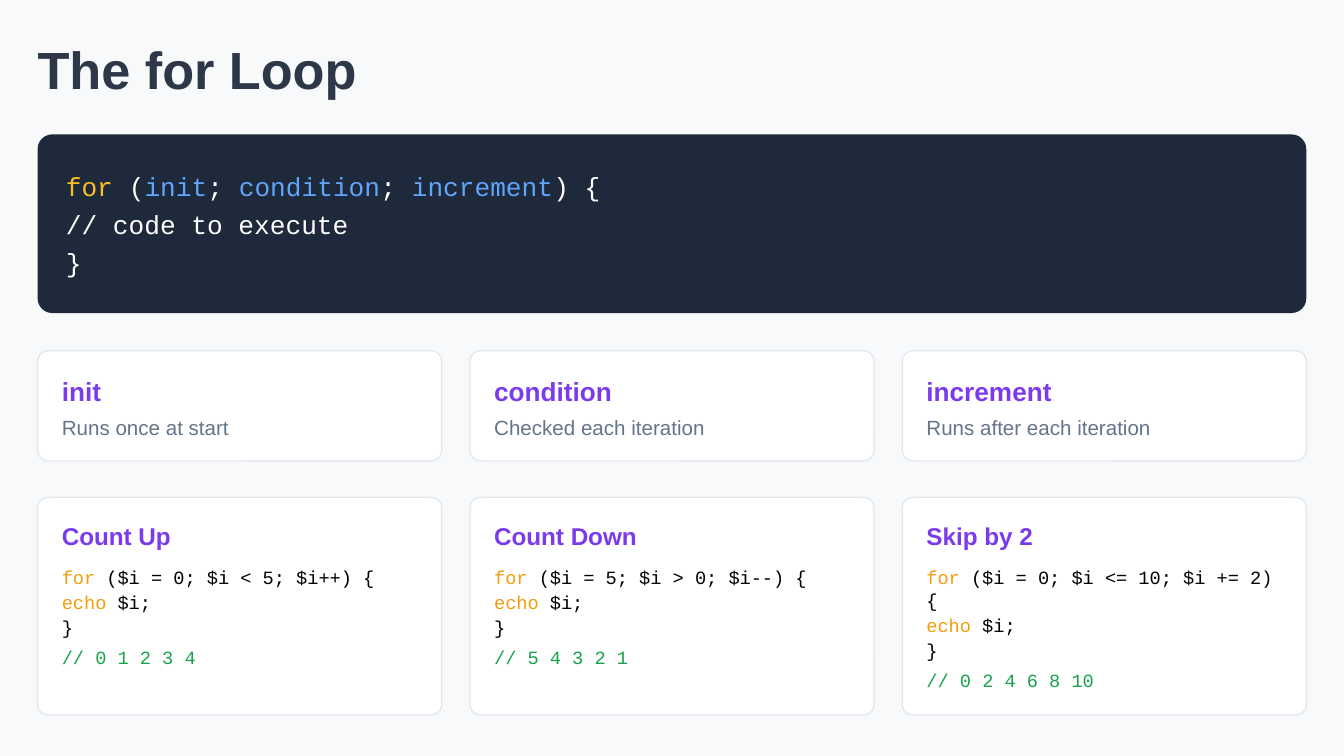
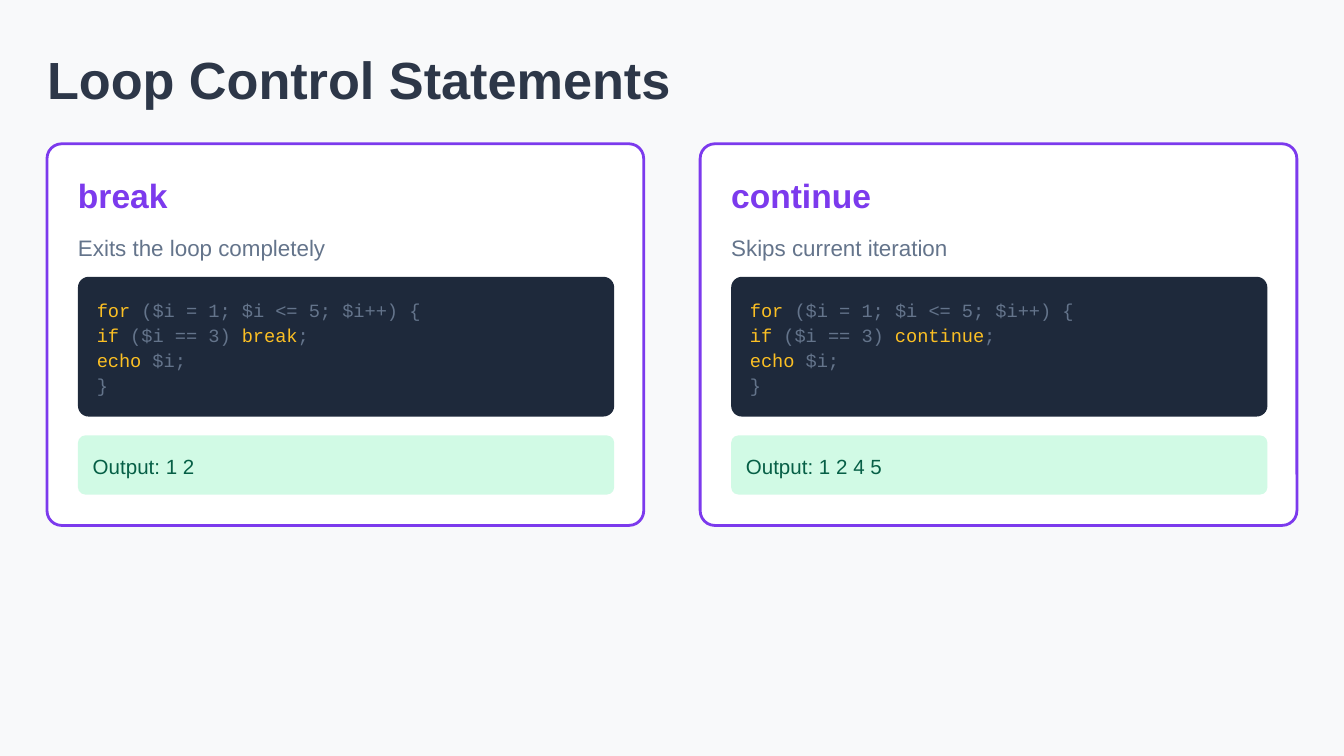
from pptx import Presentation
from pptx import util as u
from pptx.dml.color import RGBColor
from pptx.enum import shapes, text

# Shared style
INK, NAVY, WHITE, BLACK = "2D3748", "1E293B", "FFFFFF", "000000"
VIOLET, SLATE, BORDER = "7C3AED", "64748B", "E2E8F0"
YELLOW, ORANGE, BLUE = "FBBF24", "F59E0B", "60A5FA"
GREEN, MINT, FOREST = "16A34A", "D1FAE5", "065F46"
SANS, MONO = "Arial", "Courier New"


def colour(value):
    return RGBColor.from_string(value)


def add_para(frame, content, size=10, color=BLACK, font=SANS, bold=False,
             accents=(), after=0):
    """Append a paragraph; parts between | marks take the accents in turn."""
    first = not frame.paragraphs[0].runs
    para = frame.paragraphs[0] if first else frame.add_paragraph()
    para.alignment = text.PP_ALIGN.LEFT
    para.space_before = u.Pt(0)
    para.space_after = u.Pt(after)
    for index, part in enumerate(content.split("|")):
        if not part:
            continue
        span = para.add_run()
        span.text = part
        span.font.name, span.font.size, span.font.bold = font, u.Pt(size), bold
        accent = accents[index // 2 % len(accents)] if index % 2 else color
        span.font.color.rgb = colour(accent)


def set_frame(frame):
    frame.word_wrap = True
    frame.auto_size = text.MSO_AUTO_SIZE.NONE
    frame.vertical_anchor = text.MSO_ANCHOR.TOP
    frame.margin_left = frame.margin_right = 0
    frame.margin_top = frame.margin_bottom = 0
    return frame


def add_frame(page, left, top, width, height):
    box = page.shapes.add_textbox(*map(u.Inches, (left, top, width, height)))
    return set_frame(box.text_frame)


def add_panel(page, left, top, width, height, radius, fill, line=None, weight=0.75):
    panel = page.shapes.add_shape(shapes.MSO_SHAPE.ROUNDED_RECTANGLE,
                                  *map(u.Inches, (left, top, width, height)))
    panel.adjustments[0] = radius / height
    panel.shadow.inherit = False
    panel.fill.solid()
    panel.fill.fore_color.rgb = colour(fill)
    if line:
        panel.line.color.rgb = colour(line)
        panel.line.width = u.Pt(weight)
    else:
        panel.line.fill.background()


def add_page(deck, title, margin):
    page = deck.slides.add_slide(deck.slide_layouts[5])
    holder = page.shapes.title
    holder.left, holder.top = u.Inches(margin), u.Inches(margin)
    holder.width, holder.height = u.Inches(9.5), u.Inches(0.45)
    add_para(set_frame(holder.text_frame), title, size=28, color=INK, bold=True)
    return page


def columns(left, width, count, gap):
    """Left edges and the common width of equal columns."""
    column = (width - gap * (count - 1)) / count
    return [left + i * (column + gap) for i in range(count)], column


# Regions of the "for" page
def syntax_panel(page, left, top, width, height):
    add_panel(page, left, top, width, height, 0.11, NAVY)
    frame = add_frame(page, left + 0.21, top + 0.27, width - 0.23, 0.8)
    for line, accents in (
            ("|for| (|init|; |condition|; |increment|) {", (YELLOW, BLUE, BLUE, BLUE)),
            ("// code to execute", ()), ("}", ())):
        add_para(frame, line, size=14, color=WHITE, font=MONO, accents=accents, after=3.5)


def white_card(page, left, top, width, height):
    add_panel(page, left, top, width, height, 0.08, WHITE, BORDER)
    return add_frame(page, left + 0.18, top + 0.18, width - 0.3, height - 0.35)


def part_card(page, left, top, width, height, name, note):
    frame = white_card(page, left, top, width, height)
    add_para(frame, name, size=14, color=VIOLET, bold=True, after=4.5)
    add_para(frame, note, size=11, color=SLATE)


def example_card(page, left, top, width, height, name, header, result):
    frame = white_card(page, left, top, width, height)
    add_para(frame, name, size=13, color=VIOLET, bold=True, after=8.3)
    for line, after in ((f"|for| ({header}) {{", 1.4), ("|echo| $i;", 1.4), ("}", 4)):
        add_para(frame, line, font=MONO, accents=(ORANGE,), after=after)
    add_para(frame, f"// {result}", color=GREEN, font=MONO)


# Region of the loop control page
def statement_card(page, left, top, width, height, keyword, note, output):
    add_panel(page, left, top, width, height, 0.11, WHITE, VIOLET, 1.5)
    inner, inner_width = left + 0.23, width - 0.45
    frame = add_frame(page, inner, top + 0.23, inner_width, 0.65)
    add_para(frame, keyword, size=18, color=VIOLET, bold=True, after=10)
    add_para(frame, note, size=12, color=SLATE)

    add_panel(page, inner, top + 0.99, inner_width, 1.04, 0.08, NAVY)
    frame = add_frame(page, inner + 0.14, top + 1.15, inner_width - 0.21, 0.72)
    for line in ("|for| ($i = 1; $i <= 5; $i++) {",
                 f"|if| ($i == 3) |{keyword}|;", "|echo| $i;", "}"):
        add_para(frame, line, color=SLATE, font=MONO, accents=(YELLOW,), after=1.4)

    add_panel(page, inner, top + 2.17, inner_width, 0.44, 0.055, MINT)
    frame = add_frame(page, inner + 0.11, top + 2.31, inner_width - 0.15, 0.17)
    add_para(frame, f"Output: {output}", size=11, color=FOREST)


def for_page(deck):
    left, width = 0.28, 9.44
    page = add_page(deck, "The for Loop", left)
    syntax_panel(page, left, 1, width, 1.33)
    parts = (("init", "Runs once at start"),
             ("condition", "Checked each iteration"),
             ("increment", "Runs after each iteration"))
    examples = (("Count Up", "$i = 0; $i < 5; $i++", "0 1 2 3 4"),
                ("Count Down", "$i = 5; $i > 0; $i--", "5 4 3 2 1"),
                ("Skip by 2", "$i = 0; $i <= 10; $i += 2", "0 2 4 6 8 10"))
    edges, column = columns(left, width, 3, 0.21)
    for edge, part in zip(edges, parts):
        part_card(page, edge, 2.61, column, 0.82, *part)
    for edge, example in zip(edges, examples):
        example_card(page, edge, 3.7, column, 1.62, *example)


def control_page(deck):
    left, width = 0.35, 9.3
    page = add_page(deck, "Loop Control Statements", left)
    statements = (("break", "Exits the loop completely", "1 2"),
                  ("continue", "Skips current iteration", "1 2 4 5"))
    edges, column = columns(left, width, 2, 0.42)
    for edge, statement in zip(edges, statements):
        statement_card(page, edge, 1.07, column, 2.84, *statement)


def main():
    deck = Presentation()
    deck.slide_width = u.Inches(10)
    deck.slide_height = u.Inches(10 * 9 / 16)
    background = deck.slide_master.background.fill
    background.solid()
    background.fore_color.rgb = colour("F8F9FA")
    for_page(deck)
    control_page(deck)
    deck.save("out.pptx")


if __name__ == "__main__":
    main()
